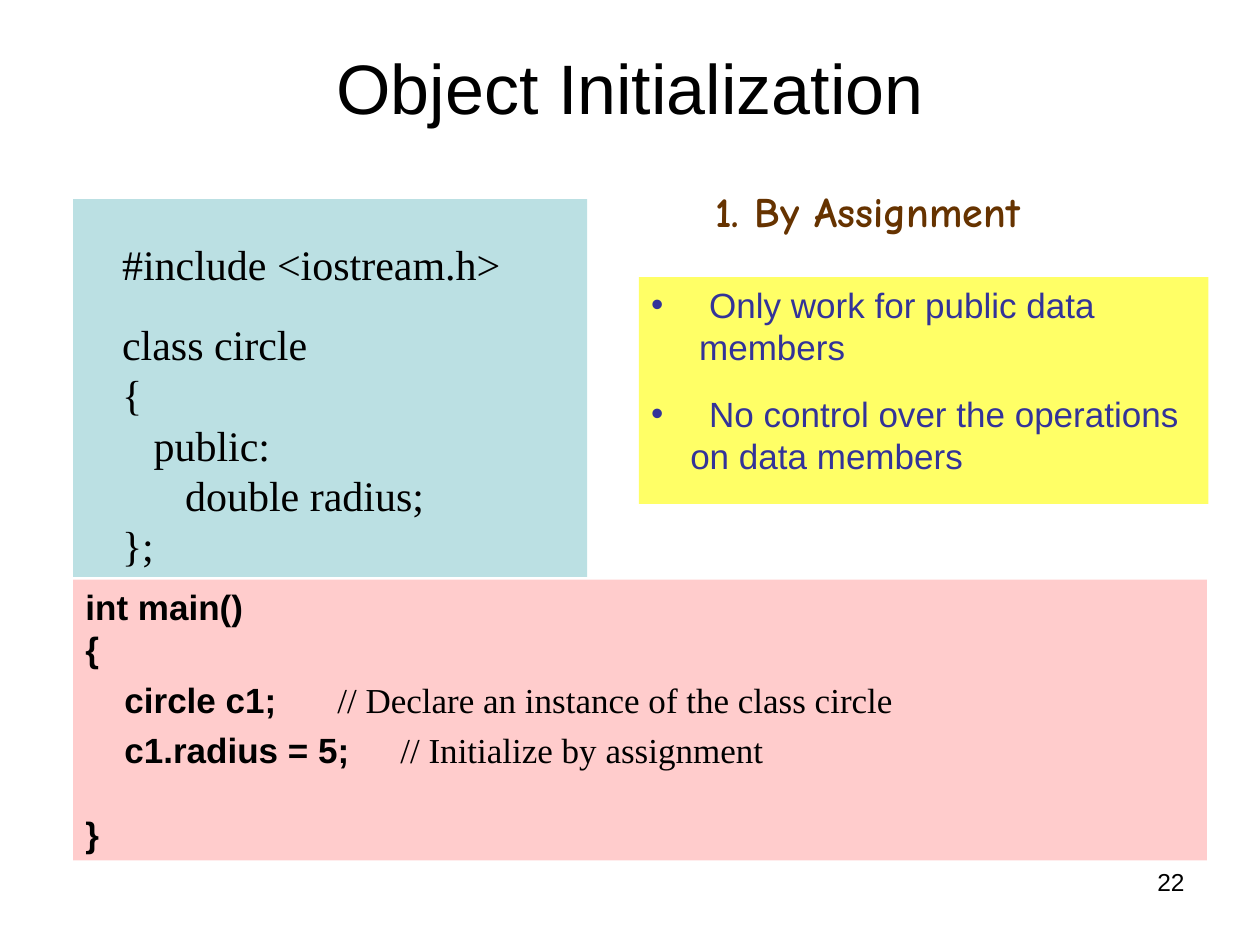
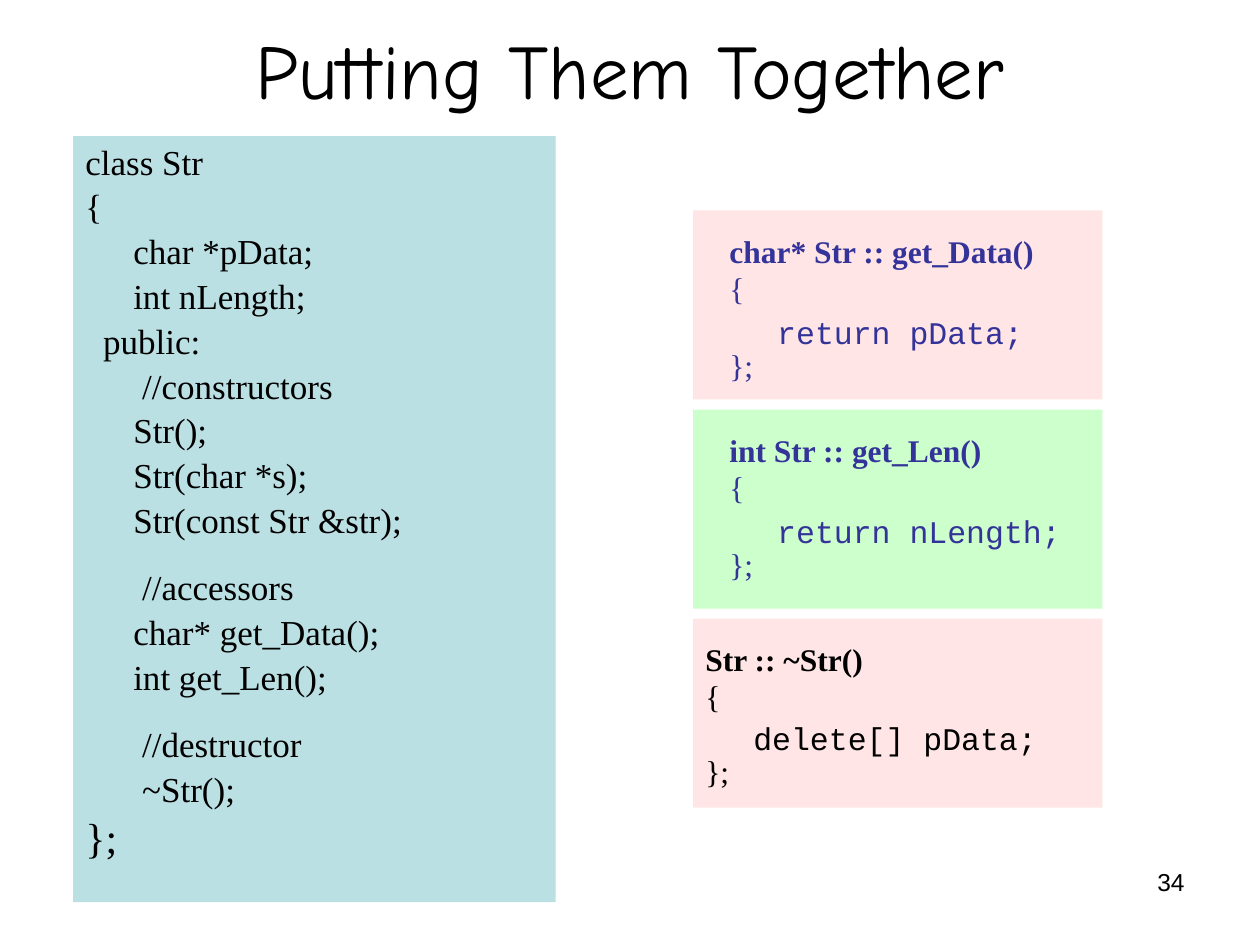
import dataclasses

import lxml.etree
import pptx
import pptx.dml.color
import pptx.enum.shapes
import pptx.enum.text
import pptx.oxml.ns
import pptx.util

Inches = pptx.util.Inches
Pt = pptx.util.Pt
Align = pptx.enum.text.PP_ALIGN
Anchor = pptx.enum.text.MSO_ANCHOR


@dataclasses.dataclass(frozen=True)
class Theme:
    black: str = "000000"
    indigo: str = "333399"
    brown: str = "663300"
    aqua: str = "BBE0E3"
    pink: str = "FFCCCC"
    pale_pink: str = "FFE5E5"
    pale_green: str = "CCFFCC"
    yellow: str = "FFFF66"
    sans: str = "Arial"
    serif: str = "Times New Roman"
    mono: str = "Courier New"
    casual: str = "Comic Neue"
    title_size: int = 40
    large_title_size: int = 44
    large_size: int = 24
    body_size: int = 20
    method_size: int = 18
    number_size: int = 14


THEME = Theme()
PANEL_LEFT = 0.58
SIDE_INSET = 0.1
TOP_INSET = 0.05


@dataclasses.dataclass(frozen=True)
class Style:
    font: str
    size: int
    color: str = THEME.black
    bold: bool = False


@dataclasses.dataclass(frozen=True)
class Line:
    """One line of a panel; indent is in inches, gap and pitch in points."""
    text: str
    style: Style
    indent: float = 0
    gap: float = 0
    pitch: float = 0
    bulleted: bool = False
    comment: str = ""


def format_run(run, style):
    run.font.name = style.font
    run.font.size = Pt(style.size)
    run.font.bold = style.bold
    run.font.color.rgb = pptx.dml.color.RGBColor.from_string(style.color)


def add_property(paragraph, tag, **attributes):
    properties = paragraph._p.get_or_add_pPr()
    element = lxml.etree.SubElement(properties, pptx.oxml.ns.qn(tag))
    for name, value in attributes.items():
        element.set(name, str(value))
    return element


def add_label(slide, box, text, style, align=Align.LEFT, anchor=Anchor.TOP, wrap=True):
    shape = slide.shapes.add_textbox(*map(Inches, box))
    frame = shape.text_frame
    frame.text = text
    frame.word_wrap = wrap
    frame.vertical_anchor = anchor
    frame.paragraphs[0].alignment = align
    format_run(frame.paragraphs[0].runs[0], style)


def write_line(paragraph, line, comment_left):
    paragraph.text = line.text
    format_run(paragraph.runs[0], line.style)
    paragraph.alignment = Align.LEFT
    paragraph.line_spacing = Pt(line.pitch or 1.2 * line.style.size)
    paragraph.space_before = Pt(line.gap)
    properties = paragraph._p.get_or_add_pPr()
    indent = Inches(line.indent)
    properties.set("marL", str(indent if line.bulleted else 0))
    properties.set("indent", str(-indent if line.bulleted else indent))
    if line.bulleted:
        add_property(paragraph, "a:buFont", typeface=THEME.sans)
        add_property(paragraph, "a:buChar", char="•")
    if line.comment:
        tabs = add_property(paragraph, "a:tabLst")
        tab = lxml.etree.SubElement(tabs, pptx.oxml.ns.qn("a:tab"))
        tab.set("pos", str(Inches(comment_left)))
        tab.set("algn", "l")
        run = paragraph.add_run()
        run.text = "\t" + line.comment
        format_run(run, Style(THEME.serif, THEME.body_size))


def add_panel(slide, box, fill, lines, top_inset=TOP_INSET, comment_left=0):
    """Draw a filled rectangle holding lines; comments start at comment_left."""
    rectangle = pptx.enum.shapes.MSO_SHAPE.RECTANGLE
    shape = slide.shapes.add_shape(rectangle, *map(Inches, box))
    shape.shadow.inherit = False
    shape.fill.solid()
    shape.fill.fore_color.rgb = pptx.dml.color.RGBColor.from_string(fill)
    shape.line.fill.background()
    frame = shape.text_frame
    frame.word_wrap = True
    frame.vertical_anchor = Anchor.TOP
    frame.margin_left = frame.margin_right = Inches(SIDE_INSET)
    frame.margin_top = Inches(top_inset)
    frame.margin_bottom = Inches(TOP_INSET)
    for index, line in enumerate(lines):
        paragraph = frame.add_paragraph() if index else frame.paragraphs[0]
        write_line(paragraph, line, comment_left)


def add_slide(presentation, title, title_box, title_style, number):
    slide = presentation.slides.add_slide(presentation.slide_layouts[6])
    add_label(slide, title_box, title, title_style, Align.CENTER, Anchor.MIDDLE)
    number_style = Style(THEME.sans, THEME.number_size)
    add_label(slide, (7.17, 6.83, 2.33, 0.52), str(number), number_style, Align.RIGHT)
    return slide


def add_circle_class(slide, box):
    code = Style(THEME.serif, THEME.large_size)
    margin = 0.29
    lines = [
        Line("#include <iostream.h>", code, margin),
        Line("class circle", code, margin, gap=17),
        Line("{", code, margin),
        Line("public:", code, margin + 0.25),
        Line("double radius;", code, margin + 0.5),
        Line("};", code, margin),
    ]
    add_panel(slide, box, THEME.aqua, lines, top_inset=0.31)


def add_main_function(slide, box):
    code = Style(THEME.sans, THEME.body_size, bold=True)
    statement = {"indent": 0.31, "pitch": 28.8}
    lines = [
        Line("int main()", code),
        Line("{", code),
        Line("circle c1;", code, **statement,
             comment="// Declare an instance of the class circle"),
        Line("c1.radius = 5;", code, **statement,
             comment="// Initialize by assignment"),
        Line("}", code, gap=24),
    ]
    add_panel(slide, box, THEME.pink, lines, comment_left=3.28)


def add_assignment_notes(slide, box):
    note = Style(THEME.sans, THEME.body_size, THEME.indigo)
    lines = [
        Line("Only work for public data", note, 0.46, bulleted=True),
        Line("members", note, 0.38),
        Line("No control over the operations", note, 0.46, gap=14.4, bulleted=True),
        Line("on data members", note, 0.31),
    ]
    add_panel(slide, box, THEME.yellow, lines)


def add_string_class(slide, box):
    code = Style(THEME.serif, THEME.body_size)
    closing = Style(THEME.serif, THEME.large_size)
    member, remark = 0.38, 0.45
    rows = [
        ("class Str", 0), ("{", 0),
        ("char *pData;", member), ("int nLength;", member),
        ("public:", 0.14),
        ("//constructors", remark), ("Str();", member),
        ("Str(char *s);", member), ("Str(const Str &str);", member),
        ("//accessors", remark, 12.8),
        ("char* get_Data();", member), ("int get_Len();", member),
        ("//destructor", remark, 12.8), ("~Str();", remark),
    ]
    lines = [Line(text, code, *layout, pitch=25.6) for text, *layout in rows]
    lines.append(Line("};", closing, pitch=30))
    add_panel(slide, box, THEME.aqua, lines, top_inset=0.01)


def add_method(slide, box, fill, signature, statement, color, indent, body_pitch):
    size = THEME.method_size
    heading = Style(THEME.serif, size, color, bold=True)
    brace = Style(THEME.serif, size, color)
    body = Style(THEME.mono, size, color)
    lines = [
        Line(signature, heading, indent, pitch=21),
        Line("{", brace, indent, pitch=21),
        Line(statement, body, indent + 0.38, pitch=body_pitch),
        Line("};", brace, indent, pitch=19),
    ]
    add_panel(slide, box, fill, lines, top_inset=0.18)


def add_methods(slide, left, top, width):
    """Stack the method panels downwards with equal gaps."""
    methods = [
        (1.5, THEME.pale_pink, "char* Str :: get_Data()", "return pData;",
         THEME.indigo, 0.19, 25),
        (1.58, THEME.pale_green, "int Str :: get_Len()", "return nLength;",
         THEME.indigo, 0.19, 25),
        (1.5, THEME.pale_pink, "Str :: ~Str()", "delete[] pData;",
         THEME.black, 0, 24),
    ]
    for height, *content in methods:
        add_method(slide, (left, top, width, height), *content)
        top += height + 0.08


def build_initialization_slide(presentation):
    slide = add_slide(presentation, "Object Initialization", (0.5, 0.3, 9, 0.78),
                      Style(THEME.sans, THEME.title_size), 22)
    add_circle_class(slide, (PANEL_LEFT, 1.58, 4.08, 3))
    add_main_function(slide, (PANEL_LEFT, 4.6, 9, 2.23))
    add_label(slide, (5.58, 1.42, 3.02, 0.5), "1. By Assignment",
              Style(THEME.casual, THEME.large_size, THEME.brown, bold=True), wrap=False)
    add_assignment_notes(slide, (5.07, 2.2, 4.52, 1.8))


def build_string_slide(presentation):
    slide = add_slide(presentation, "Putting Them Together", (0, 0.17, 10, 0.75),
                      Style(THEME.casual, THEME.large_title_size), 34)
    add_string_class(slide, (PANEL_LEFT, 1.08, 3.83, 6.08))
    add_methods(slide, 5.5, 1.67, 3.25)


def main():
    presentation = pptx.Presentation()
    presentation.slide_width = Inches(10)
    presentation.slide_height = Inches(7.5)
    build_initialization_slide(presentation)
    build_string_slide(presentation)
    presentation.save("out.pptx")


if __name__ == "__main__":
    main()
